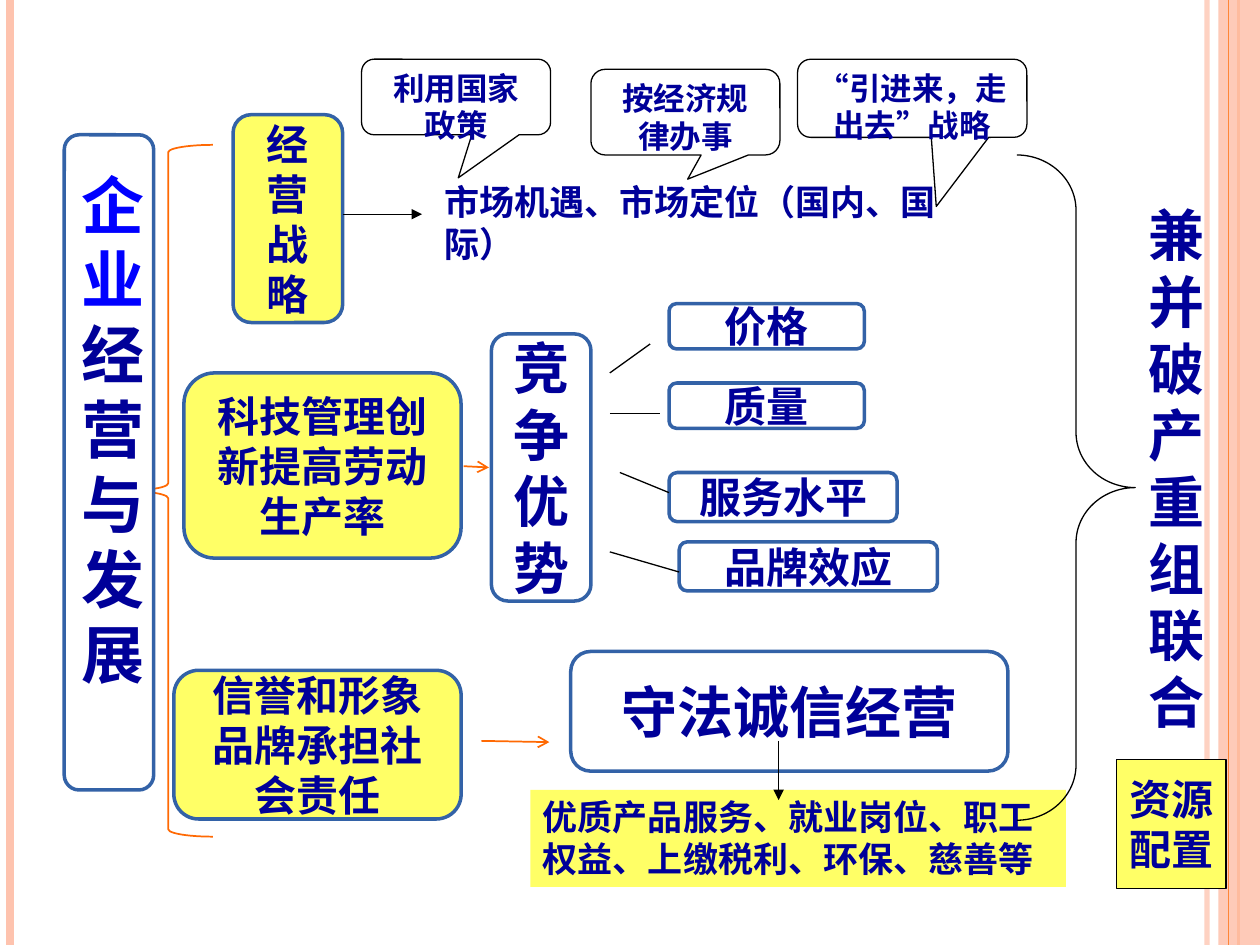
from lxml import etree
from pptx import Presentation
from pptx.dml.color import RGBColor
from pptx.enum.shapes import MSO_CONNECTOR, MSO_SHAPE as SHAPE
from pptx.enum.text import MSO_ANCHOR as ANCHOR, MSO_AUTO_SIZE as AUTO, PP_ALIGN as ALIGN
from pptx.oxml.ns import qn
from pptx.util import Inches, Pt

COLORS = {
    "navy": "000099", "blue": "0000FF", "frame": "3362A7", "yellow": "FFFF66",
    "white": "FFFFFF", "black": "000000", "orange": "FF6903",
    "stripe": "FEC3AE", "edge": "FE8637",
}
CJK, LATIN = "Noto Sans CJK SC", "Arial"
LINE_RATIO = 1.19


def rgb(name):
    return RGBColor.from_string(COLORS[name])


def set_alpha(fill_parent, percent):
    clr = next(fill_parent.iter(qn("a:srgbClr")))
    etree.SubElement(clr, qn("a:alpha")).set("val", str(percent * 1000))


class Board:
    """Holds the current slide and draws the diagram's elements in one style."""

    def __init__(self, slide):
        self.shapes = slide.shapes

    def shape(self, kind, at, fill=None, line=None, width=0.75, adj=()):
        sp = self.shapes.add_shape(kind, *map(Inches, at))
        sp.shadow.inherit = False
        for i, value in enumerate(adj):
            sp.adjustments[i] = value
        if fill:
            sp.fill.solid()
            sp.fill.fore_color.rgb = rgb(fill)
        else:
            sp.fill.background()
        if line:
            sp.line.color.rgb = rgb(line)
            sp.line.width = Pt(width)
        else:
            sp.line.fill.background()
        return sp

    def add_text(self, sp, paragraphs, size, align=ALIGN.CENTER, anchor=ANCHOR.MIDDLE):
        """Each paragraph is a list of (text, font, colour) runs."""
        tf = sp.text_frame
        tf.word_wrap = True
        tf.vertical_anchor = anchor
        for i, runs in enumerate(paragraphs):
            p = tf.add_paragraph() if i else tf.paragraphs[0]
            p.alignment = align
            p.line_spacing = Pt(round(size * LINE_RATIO, 1))
            for text, font, color in runs:
                r = p.add_run()
                r.text = text
                r.font.size = Pt(size)
                r.font.bold = True
                r.font.color.rgb = rgb(color)
                r.font.name = font
                ea = etree.Element(qn("a:ea"), typeface=CJK)
                r._r.rPr.find(qn("a:latin")).addnext(ea)
        return tf

    def node(self, at, *runs, size=24, fill="white"):
        sp = self.shape(SHAPE.ROUNDED_RECTANGLE, at, fill, "frame", 2)
        return self.add_text(sp, [runs], size)

    def callout(self, at, text, tip):
        sp = self.shape(SHAPE.ROUNDED_RECTANGULAR_CALLOUT, at, "white", "black",
                        adj=(*tip, 0.167))
        self.add_text(sp, [[(text, LATIN, "navy")]], 18, anchor=ANCHOR.TOP)

    def note(self, at, text, size=20, font=LATIN, fill=None):
        if fill:
            sp = self.shape(SHAPE.RECTANGLE, at, fill)
        else:
            sp = self.shapes.add_textbox(*map(Inches, at))
        tf = self.add_text(sp, [[(text, font, "navy")]], size, ALIGN.LEFT, ANCHOR.TOP)
        tf.auto_size = AUTO.SHAPE_TO_FIT_TEXT

    def line(self, x1, y1, x2, y2, color="black", width=0.75, head=None, alpha=None):
        c = self.shapes.add_connector(MSO_CONNECTOR.STRAIGHT,
                                      *map(Inches, (x1, y1, x2, y2)))
        c.line.color.rgb = rgb(color)
        c.line.width = Pt(width)
        sp_pr = c._element.spPr
        if alpha:
            set_alpha(sp_pr, alpha)
        if head:
            etree.SubElement(sp_pr.find(qn("a:ln")), qn("a:tailEnd")).set("type", head)
        etree.SubElement(sp_pr, qn("a:effectLst"))


def draw(b):
    # Side stripes
    b.line(9.58, 0, 9.58, 7.5, "stripe", 3, alpha=75)
    b.line(0.08, 0, 0.08, 7.5, "stripe", 4.5)
    b.line(9.83, 0, 9.83, 7.5, "edge", 1.5)
    band = b.shape(SHAPE.RECTANGLE, (9.67, 0, 0.33, 7.5), "stripe")
    set_alpha(band._element.spPr, 87)
    b.line(9.75, 0, 9.75, 7.5, "edge")

    # Strategy and competitive edge
    b.node((1.85, 0.91, 0.87, 1.65), ("经营战略", CJK, "navy"), fill="yellow")
    b.note((3.43, 1.39, 4.49, 0.43), "市场机遇、市场定位（国内、国际）",
           font=CJK, fill="white")
    b.node((3.9, 2.65, 0.79, 2.12), ("竞争优势", CJK, "navy"), size=32)
    for text, *at in (("价格", 5.31, 2.41, 1.55, 0.36),
                      ("质量", 5.31, 3.04, 1.55, 0.36),
                      ("服务水平", 5.31, 3.75, 1.81, 0.39),
                      ("品牌效应", 5.39, 4.3, 2.05, 0.39)):
        b.node(at, (text, CJK, "navy"))

    # Innovation, reputation and the heading with its brace
    b.node((1.46, 2.96, 2.2, 1.47), ("科技管理创新提高劳动生产率", CJK, "navy"),
           fill="yellow")
    b.shape(SHAPE.LEFT_BRACE, (0.98, 1.15, 0.71, 5.49), line="orange", width=1,
            adj=(0.083, 0.5))
    b.node((1.38, 5.32, 2.28, 1.18), ("信誉和形象品牌", CJK, "navy"),
           ("承担社会责任", LATIN, "navy"), fill="yellow")
    b.node((4.53, 5.17, 3.47, 0.95), ("守法诚信经营", CJK, "navy"), size=32)
    heading = b.node((0.51, 1.07, 0.71, 5.2), ("企业", CJK, "blue"),
                     ("经营与发展", CJK, "navy"), size=36)
    heading.margin_bottom = Inches(0.58)
    b.line(3.68, 3.7, 3.88, 3.71, "orange", 1, "arrow")
    b.line(3.82, 5.88, 4.36, 5.89, "orange", 1, "arrow")

    # Responsibilities and outcome
    b.note((4.21, 6.27, 4.25, 0.77),
           "优质产品服务、就业岗位、职工权益、上缴税利、环保、慈善等", fill="yellow")
    b.shape(SHAPE.RIGHT_BRACE, (8.07, 1.23, 0.94, 5.28), line="black",
            adj=(0.466, 0.5))
    b.note((9.02, 1.55, 0.71, 4.36), "兼并破产重组联合", size=32)

    # Strategy callouts
    b.callout((4.69, 0.55, 1.5, 0.68), "按经济规律办事", (0.012, 0.783))
    b.line(2.72, 1.7, 3.35, 1.7, head="triangle")
    b.callout((6.33, 0.47, 1.82, 0.62), "“引进来，走出去”战略", (0.105, 1.385))
    b.callout((2.87, 0.47, 1.5, 0.6), "利用国家政策", (0.012, 1.069))

    # Links to the four advantages
    for ends in ((4.84, 2.96, 5.16, 2.73), (4.84, 3.28, 5.24, 3.28),
                 (4.92, 3.75, 5.31, 3.91), (4.84, 4.38, 5.39, 4.54)):
        b.line(*ends)
    b.line(6.18, 5.88, 6.18, 6.35, head="triangle")

    # Resource allocation
    box = b.shape(SHAPE.RECTANGLE, (8.86, 6.03, 0.87, 1.02), "yellow", "black")
    tf = b.add_text(box, [[(text, LATIN, "navy")] for text in ("资源", "配置")], 24)
    tf.word_wrap = False


def main():
    prs = Presentation()
    prs.slide_width, prs.slide_height = Inches(10), Inches(7.5)
    draw(Board(prs.slides.add_slide(prs.slide_layouts[6])))
    prs.save("out.pptx")


if __name__ == "__main__":
    main()
